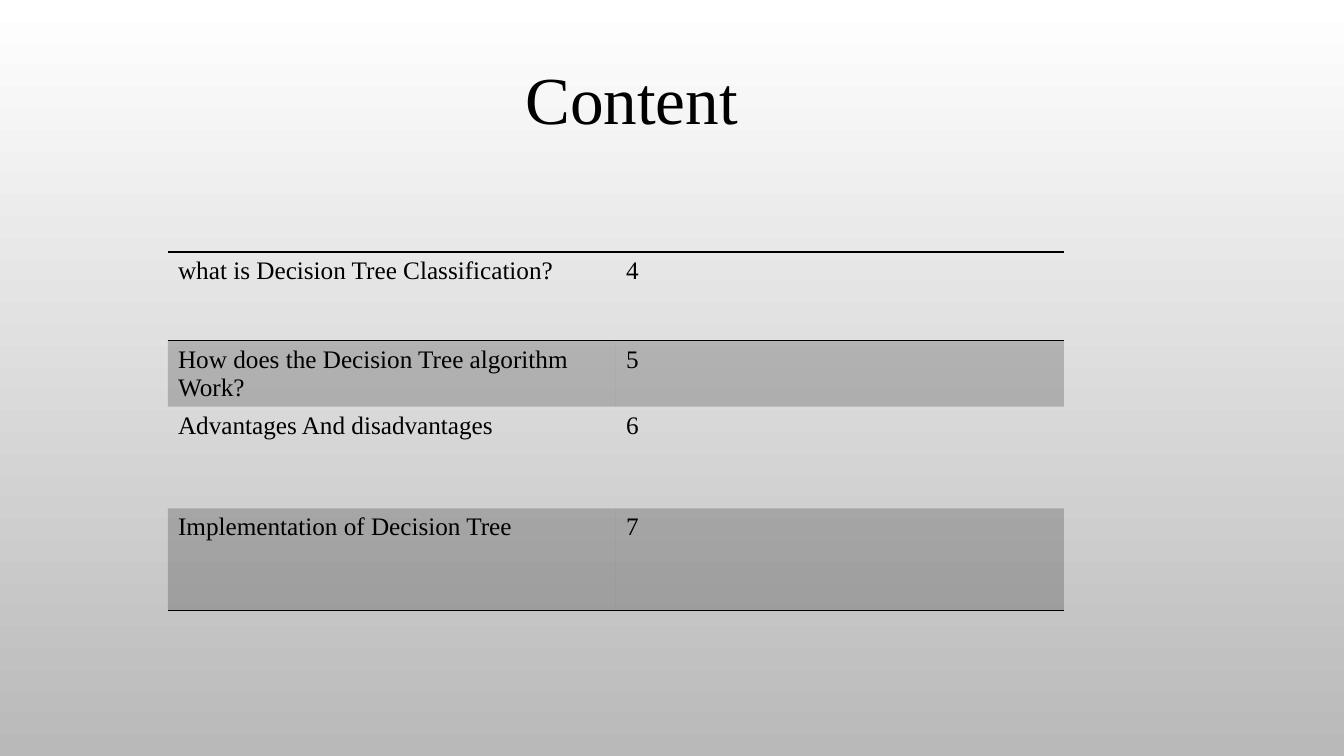
"""Build the content slide: a title above a ruled table of topics and page numbers."""
from dataclasses import dataclass

from lxml.etree import SubElement
from pptx import Presentation
from pptx.dml.color import RGBColor
from pptx.enum.text import MSO_ANCHOR, MSO_AUTO_SIZE, PP_ALIGN
from pptx.oxml.ns import qn
from pptx.util import Inches, Pt


@dataclass(frozen=True)
class Theme:
    font: str = "Times New Roman"
    ink: str = "000000"
    sky: str = "FFFFFF"
    ground: str = "B9B9B9"
    title_size: int = 48
    body_size: int = 18
    band_alpha: int = 20
    rule_width: int = 1
    plain_table: str = "{2D5ABB26-0587-4C30-8999-92F81FD0307C}"


def apply(target, values):
    for name, value in values.items():
        setattr(target, name, value)


class SlideBuilder:
    def __init__(self, deck, theme):
        self.deck, self.theme = deck, theme
        self.page = deck.slides.add_slide(deck.slide_layouts[5])

    def place(self, left, top, width, height):
        across, down = self.deck.slide_width, self.deck.slide_height
        return {"left": int(left * across), "top": int(top * down),
                "width": int(width * across), "height": int(height * down)}

    def background(self):
        fill = self.page.background.fill
        fill.gradient()
        fill.gradient_angle = 270
        colours = (self.theme.sky, self.theme.ground)
        for position, (stop, colour) in enumerate(zip(fill.gradient_stops, colours)):
            stop.position = position
            stop.color.rgb = RGBColor.from_string(colour)

    def add_text(self, frame, text, size, **paragraph_format):
        para = frame.paragraphs[0]
        apply(para, paragraph_format)
        span = para.add_run()
        span.text = text
        apply(span.font, {"name": self.theme.font, "size": Pt(size), "bold": False})
        span.font.color.rgb = RGBColor.from_string(self.theme.ink)

    def title(self, text, area):
        box = self.page.shapes.title
        apply(box, self.place(*area))
        apply(box.text_frame, {"vertical_anchor": MSO_ANCHOR.BOTTOM, "word_wrap": True,
                               "auto_size": MSO_AUTO_SIZE.NONE})
        self.add_text(box.text_frame, text, self.theme.title_size,
                      alignment=PP_ALIGN.CENTER, line_spacing=0.9)

    def rule(self, cell, side):
        line = SubElement(cell._tc.get_or_add_tcPr(), qn(f"a:ln{side}"),
                          w=str(Pt(self.theme.rule_width)))
        fill = SubElement(line, qn("a:solidFill"))
        SubElement(fill, qn("a:srgbClr"), val=self.theme.ink)

    def shade(self, cell):
        cell.fill.solid()
        cell.fill.fore_color.rgb = RGBColor.from_string(self.theme.ink)
        colour = cell._tc.tcPr.find(qn("a:solidFill")).find(qn("a:srgbClr"))
        SubElement(colour, qn("a:alpha"), val=str(self.theme.band_alpha * 1000))

    def table(self, entries, row_heights, area):
        frame = self.page.shapes.add_table(len(entries), len(entries[0]),
                                           **self.place(*area))
        frame.element.find(f".//{qn('a:tableStyleId')}").text = self.theme.plain_table
        table = frame.table
        apply(table, {"first_row": False, "horz_banding": False})
        sides = {0: "TB", len(entries) - 1: "B"}
        for index, (entry, height) in enumerate(zip(entries, row_heights)):
            table.rows[index].height = Inches(height)
            for cell, text in zip(table.rows[index].cells, entry):
                self.add_text(cell.text_frame, text, self.theme.body_size)
                for side in sides.get(index, ""):
                    self.rule(cell, side)
                if index % 2:
                    self.shade(cell)
                else:
                    cell.fill.background()


CONTENTS = [
    ("what is Decision Tree Classification?", "4"),
    ("How does the Decision Tree algorithm Work?", "5"),
    ("Advantages And disadvantages", "6"),
    ("Implementation of Decision Tree", "7"),
]

deck = Presentation()
apply(deck, {"slide_width": Inches(13.33), "slide_height": Inches(7.5)})
builder = SlideBuilder(deck, Theme())
builder.background()
builder.title("Content", (0.04, 0.06, 0.86, 0.13))
builder.table(CONTENTS, (0.88, 0.65, 1.01, 1.01), (1 / 8, 1 / 3, 2 / 3, 0.47))
deck.save("out.pptx")
